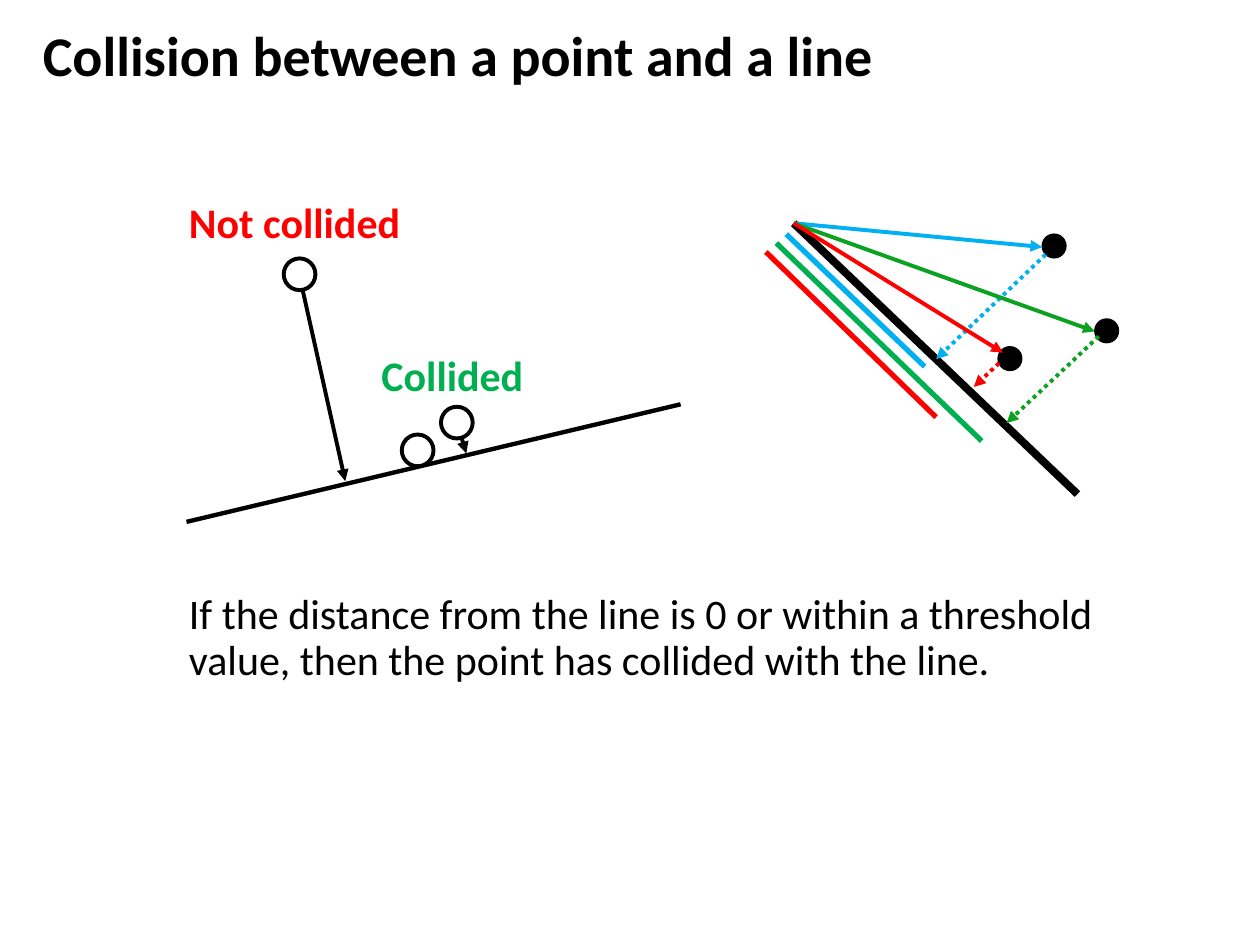
from lxml.etree import SubElement
from pptx import Presentation
from pptx.dml.color import RGBColor
from pptx.enum.dml import MSO_LINE
from pptx.enum.shapes import MSO_CONNECTOR, MSO_SHAPE
from pptx.enum.text import MSO_ANCHOR, MSO_AUTO_SIZE, PP_ALIGN
from pptx.oxml.ns import qn
from pptx.util import Cm, Pt

BLACK = RGBColor(0x00, 0x00, 0x00)
WHITE = RGBColor(0xFF, 0xFF, 0xFF)
RED = RGBColor(0xFF, 0x00, 0x00)
BLUE = RGBColor(0x00, 0xB0, 0xF0)
GREEN = RGBColor(0x00, 0xB0, 0x50)
DARK_GREEN = RGBColor(0x0C, 0xA2, 0x21)

BALL_SIZE = 0.64
DOT_SIZE = 0.48
WALL_START = (16, 4.5)
WALL_END = (21.72, 9.96)


def write_text(shape, text, size=24, color=BLACK, bold=False, spacing=0.9, wrap=True):
    """Fill a shape with one left-aligned paragraph."""
    frame = shape.text_frame
    frame.word_wrap = wrap
    frame.auto_size = MSO_AUTO_SIZE.NONE
    frame.vertical_anchor = MSO_ANCHOR.TOP
    paragraph = frame.paragraphs[0]
    paragraph.text = text
    paragraph.alignment = PP_ALIGN.LEFT
    paragraph.line_spacing = spacing
    paragraph.space_before = Pt(0)
    font = paragraph.runs[0].font
    font.name = "Calibri"
    font.size = Pt(size)
    font.bold = bold
    font.color.rgb = color


def add_title(slide, text):
    """Place and format the title placeholder."""
    title = slide.shapes.title
    title.left, title.top, title.width, title.height = Cm(0.61), Cm(0.28), Cm(17.4), Cm(1.63)
    write_text(title, text, size=32, bold=True, spacing=1, wrap=False)


def add_label(slide, box, text, **text_format):
    """Add a text box at left, top, width, height in centimetres."""
    shape = slide.shapes.add_textbox(*map(Cm, box))
    write_text(shape, text, **text_format)


def add_circle(slide, corner, size, fill, line_width):
    """Add a black-edged circle by its top left corner."""
    circle = slide.shapes.add_shape(MSO_SHAPE.OVAL, *map(Cm, corner), Cm(size), Cm(size))
    circle.shadow.inherit = False
    circle.fill.solid()
    circle.fill.fore_color.rgb = fill
    circle.line.color.rgb = BLACK
    circle.line.width = Pt(line_width)


def add_line(slide, start, end, color=BLACK, width=2.25, arrow=False, dotted=False):
    """Add a straight line, optionally dotted or with an arrowhead at its end."""
    connector = slide.shapes.add_connector(MSO_CONNECTOR.STRAIGHT, *map(Cm, (*start, *end)))
    connector.line.color.rgb = color
    connector.line.width = Pt(width)
    if dotted:
        connector.line.dash_style = MSO_LINE.ROUND_DOT
    if arrow:
        SubElement(connector.line._get_or_add_ln(), qn("a:tailEnd"), type="triangle")
    SubElement(connector._element.spPr, qn("a:effectLst"))


def add_projection(slide, dot, tip, drop, shadow, color, shadow_color):
    """Add a point, its vector, its drop to the wall and its projected length."""
    add_circle(slide, dot, DOT_SIZE, BLACK, 0.75)
    add_line(slide, WALL_START, tip, color, arrow=True)
    add_line(slide, *drop, color, arrow=True, dotted=True)
    add_line(slide, *shadow, shadow_color, width=3)


def add_collision_diagram(slide):
    """Draw the balls above the sloping line."""
    add_line(slide, (3.76, 10.52), (13.72, 8.15), width=2.5)
    add_circle(slide, (5.72, 5.21), BALL_SIZE, WHITE, 2.25)
    add_line(slide, (6.1, 5.84), (6.96, 9.7), arrow=True)
    add_circle(slide, (8.89, 8.2), BALL_SIZE, WHITE, 2.25)
    add_line(slide, (9.3, 8.81), (9.4, 9.14), arrow=True)
    add_label(slide, (3.56, 3.96, 4.95, 1.17), "Not collided", color=RED, bold=True)
    add_label(slide, (7.44, 7.04, 3.56, 1.17), "Collided", color=GREEN, bold=True)
    add_circle(slide, (8.1, 8.76), BALL_SIZE, WHITE, 2.25)


def add_projection_diagram(slide):
    """Draw the wall and the three points projected on it."""
    add_line(slide, WALL_START, WALL_END, width=4.5)
    projections = [
        ((21.01, 4.72), (21.01, 4.98), ((21.08, 5.13), (18.87, 7.24)),
         ((15.85, 4.72), (18.64, 7.39)), BLUE, BLUE),
        ((22.07, 6.43), (22.07, 6.68), ((22.15, 6.78), (20.29, 8.53)),
         ((15.65, 4.9), (19.79, 8.89)), DARK_GREEN, GREEN),
        ((20.12, 6.99), (20.22, 7.11), ((20.14, 7.32), (19.63, 7.8)),
         ((15.44, 5.08), (18.87, 8.41)), RED, RED),
    ]
    for projection in projections:
        add_projection(slide, *projection)


def main():
    """Build and save the slide."""
    presentation = Presentation()
    presentation.slide_width, presentation.slide_height = Cm(25.4), Cm(19.05)
    slide = presentation.slides.add_slide(presentation.slide_layouts[5])
    add_title(slide, "Collision between a point and a line")
    add_collision_diagram(slide)
    add_label(slide, (3.56, 11.84, 18.8, 2.11),
              "If the distance from the line is 0 or within a threshold value, "
              "then the point has collided with the line.")
    add_projection_diagram(slide)
    presentation.save("out.pptx")


if __name__ == "__main__":
    main()
